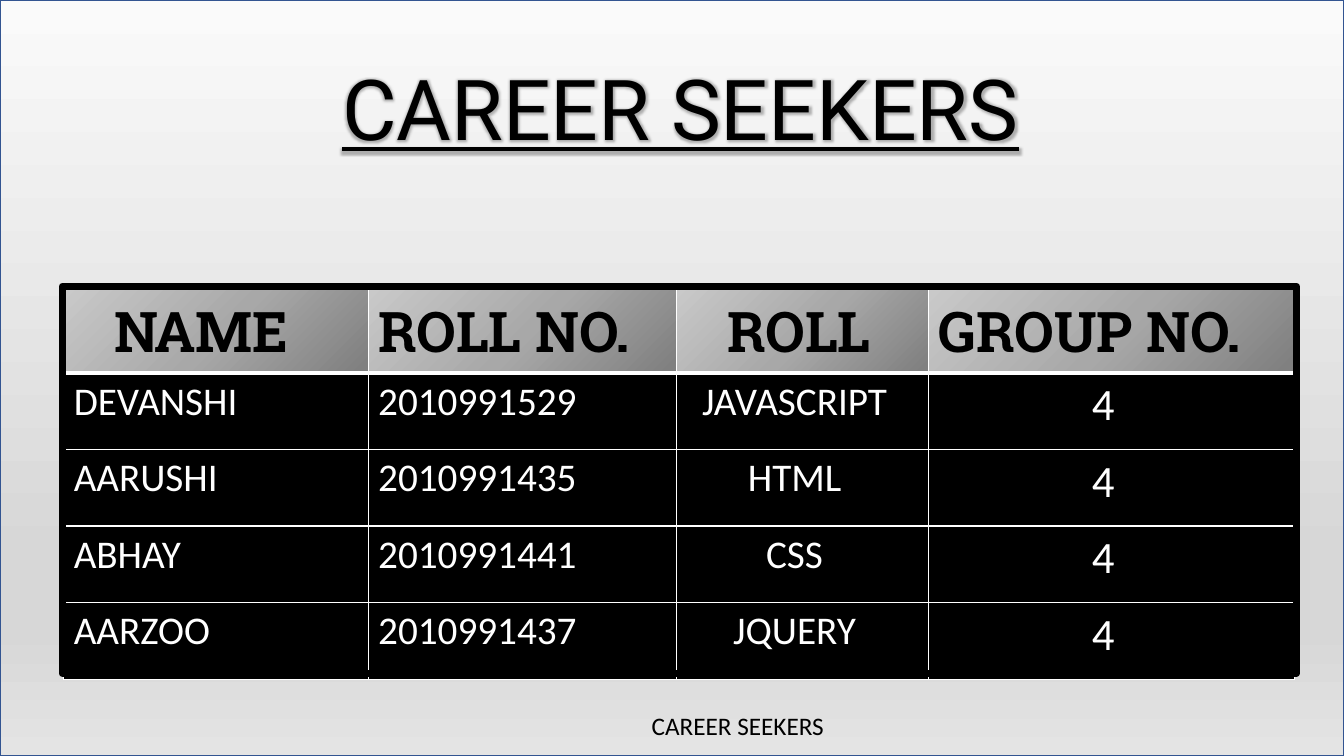
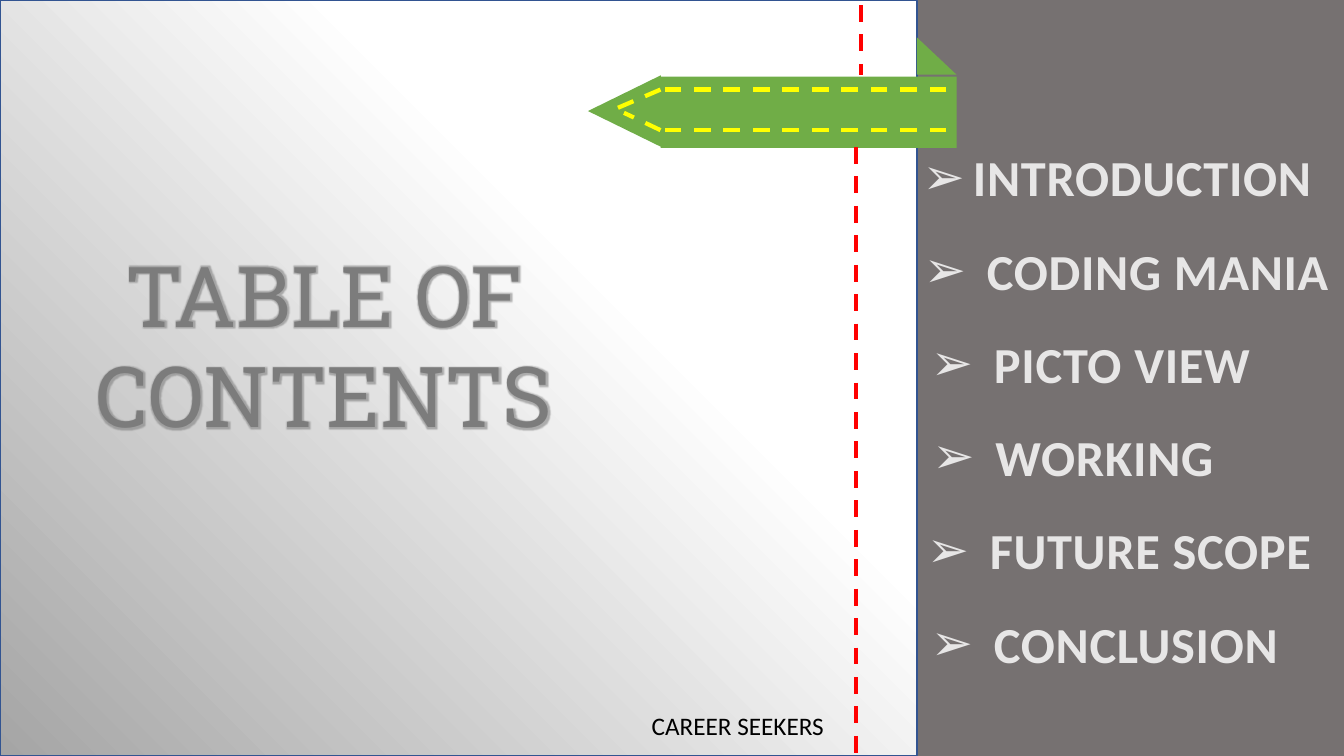
import pptx
import pptx.util
import pptx.dml.color
import pptx.enum.dml
import pptx.enum.shapes
import pptx.enum.text
import pptx.oxml
import pptx.oxml.ns

Pt = pptx.util.Pt
RGB = pptx.dml.color.RGBColor
SHAPE = pptx.enum.shapes.MSO_SHAPE
ALIGN = pptx.enum.text.PP_ALIGN
qn = pptx.oxml.ns.qn
NS = pptx.oxml.ns.nsdecls("a")

BLACK = RGB(0x00, 0x00, 0x00)
WHITE = RGB(0xFF, 0xFF, 0xFF)
NAVY = RGB(0x32, 0x54, 0x91)
SLATE = RGB(0x76, 0x71, 0x71)
TITLE_GREY = RGB(0x7C, 0x7C, 0x7C)
LIGHT = RGB(0xE7, 0xE6, 0xE6)
GREEN = RGB(0x70, 0xAD, 0x47)
YELLOW = RGB(0xFF, 0xFF, 0x00)
RED = RGB(0xFF, 0x00, 0x00)


def fill_gradient(fill, holder, stops, direction):
    """Fill with percent/colour stops; direction is the gradient's lin or path element."""
    fill.solid()
    marks = "".join(f'<a:gs pos="{pos * 1000}"><a:srgbClr val="{colour}"/></a:gs>'
                    for pos, colour in stops)
    gradient = pptx.oxml.parse_xml(
        f'<a:gradFill {NS} rotWithShape="1"><a:gsLst>{marks}</a:gsLst>{direction}</a:gradFill>')
    holder.replace(holder.find(qn("a:solidFill")), gradient)


def add_run(paragraph, text, font, size, colour, bold=False):
    run = paragraph.add_run()
    run.text = text
    run.font.name = font
    run.font.size = Pt(size)
    run.font.bold = bold
    run.font.color.rgb = colour
    return run


deck = pptx.Presentation()
deck.slide_width, deck.slide_height = Pt(960), Pt(540)
team = deck.slides.add_slide(deck.slide_layouts[5])
contents = deck.slides.add_slide(deck.slide_layouts[1])

# Backgrounds
fill_gradient(team.background.fill, team.background._cSld.bg.bgPr,
              [(0, "6F6F6F"), (48, "A8A8A8"), (100, "C9C9C9")], '<a:lin ang="16200000"/>')
contents.background.fill.solid()
contents.background.fill.fore_color.rgb = SLATE

# Gradient panels, behind everything else
for slide, width, stops, direction in (
    (team, 960, [(0, "FAFAFA"), (74, "D7D7D7"), (83, "D7D7D7"), (100, "E4E4E4")],
     '<a:lin ang="5400000"/>'),
    (contents, 655, [(0, "FFFFFF"), (35, "FFFFFF"), (100, "A5A5A5")],
     '<a:path path="circle"><a:fillToRect l="100000" b="100000"/></a:path>'),
):
    panel = slide.shapes.add_shape(SHAPE.RECTANGLE, 0, Pt(0.5), Pt(width), Pt(539))
    panel.shadow.inherit = False
    fill_gradient(panel.fill, panel.element.spPr, stops, direction)
    panel.line.color.rgb = NAVY
    panel.line.width = Pt(1)
    slide.shapes.element.insert(2, panel.element)

# Titles with a soft grey halo
for slide, text, box, font, colour, underlined in (
    (team, "CAREER SEEKERS", (180, 37, 612, 80), "Roboto", BLACK, True),
    (contents, "TABLE OF CONTENTS", (30, 170, 403, 153), "Roboto Slab", TITLE_GREY, False),
):
    title = slide.shapes.title
    title.left, title.top, title.width, title.height = map(Pt, box)
    title.text_frame.auto_size = pptx.enum.text.MSO_AUTO_SIZE.NONE
    title.text_frame.vertical_anchor = pptx.enum.text.MSO_ANCHOR.TOP
    heading = title.text_frame.paragraphs[0]
    heading.alignment = ALIGN.CENTER
    run = add_run(heading, text, font, 60, colour)
    run.font.underline = underlined
    run.font._rPr.find(qn("a:solidFill")).addnext(pptx.oxml.parse_xml(
        f'<a:effectLst {NS}><a:glow rad="{Pt(4)}"><a:srgbClr val="808080">'
        '<a:alpha val="60000"/></a:srgbClr></a:glow></a:effectLst>'))

# Team table
COLUMNS = [("NAME", 217.5, 36), ("ROLL NO.", 220.5, 7.2), ("ROLL", 180, 36), ("GROUP NO.", 261, 7.2)]
MEMBERS = [
    ("DEVANSHI", "2010991529", "JAVASCRIPT", "4"),
    ("AARUSHI", "2010991435", "HTML", "4"),
    ("ABHAY", "2010991441", "CSS", "4"),
    ("AARZOO", "2010991437", "JQUERY", "4"),
]
HEADER_STOPS = [(2, "808080"), (48, "A8A8A8"), (100, "C9C9C9")]
FROM_CORNER = '<a:path path="circle"><a:fillToRect l="100000" t="100000"/></a:path>'
members = team.shapes.add_table(5, 4, Pt(45.5), Pt(206.5), Pt(879), Pt(273.5)).table
members.horz_banding = False
for row in members.rows:
    row.height = Pt(54.7)
for column, (_, width, _) in zip(members.columns, COLUMNS):
    column.width = Pt(width)

for r, texts in enumerate([[name for name, _, _ in COLUMNS], *MEMBERS]):
    for c, text in enumerate(texts):
        cell = members.cell(r, c)
        properties = cell._tc.get_or_add_tcPr()
        paragraph = cell.text_frame.paragraphs[0]
        if r == 0:
            fill_gradient(cell.fill, properties, HEADER_STOPS, FROM_CORNER)
            cell.margin_left = Pt(COLUMNS[c][2])
            add_run(paragraph, text, "Roboto Slab", 40, BLACK, bold=True)
        else:
            cell.fill.solid()
            cell.fill.fore_color.rgb = BLACK
            if c >= 2:
                paragraph.alignment = ALIGN.CENTER
                cell.margin_right = Pt(19)
            add_run(paragraph, text, "Calibri", 32 if c == 3 else 28, WHITE)
        # Thin white grid, thicker around the header's lower edge
        for i, side in enumerate("LRTB"):
            thick = (r, side) in ((0, "B"), (1, "T"))
            properties.insert(i, pptx.oxml.parse_xml(
                f'<a:ln{side} {NS} w="{Pt(3 if thick else 1)}"><a:solidFill>'
                f'<a:srgbClr val="{WHITE}"/></a:solidFill></a:ln{side}>'))

# Black frame around the table
frame = team.shapes.add_shape(SHAPE.RECTANGLE, Pt(44.5), Pt(204.5), Pt(881.5), Pt(276.5))
frame.shadow.inherit = False
frame.fill.background()
frame.line.color.rgb = BLACK
frame.line.width = Pt(5)

# Green pencil ribbon: body, tip, fold
for kind, left, top, width, height, rotation in (
    (SHAPE.RECTANGLE, 471.8, 54.7, 211.5, 51, 0),
    (SHAPE.ISOSCELES_TRIANGLE, 420.5, 53.3, 51, 52, 270),
    (SHAPE.RIGHT_TRIANGLE, 655, 26.8, 28.3, 26.6, 0),
):
    part = contents.shapes.add_shape(kind, Pt(left), Pt(top), Pt(width), Pt(height))
    part.rotation = rotation
    part.shadow.inherit = False
    part.fill.solid()
    part.fill.fore_color.rgb = GREEN
    part.line.fill.background()

# Dashed stitches on the ribbon and the red margin
for colour, *ends in (
    (YELLOW, 676, 64, 471.8, 64),
    (YELLOW, 676, 93, 471.8, 93),
    (YELLOW, 471.8, 64, 436.3, 79.2),
    (YELLOW, 471.8, 93, 445.7, 80.6),
    (RED, 611.5, 105, 611.5, 540),
    (RED, 615, 3.6, 615, 53.3),
):
    stitch = contents.shapes.add_connector(pptx.enum.shapes.MSO_CONNECTOR.STRAIGHT, *map(Pt, ends))
    stitch.line.color.rgb = colour
    stitch.line.width = Pt(3)
    stitch.line.dash_style = pptx.enum.dml.MSO_LINE.DASH
    stitch.element.spPr.append(pptx.oxml.parse_xml(f"<a:effectLst {NS}/>"))

# Contents list: topic, bullet position, hanging indent
TOPICS = [
    ("INTRODUCTION", 4, 36),
    ("CODING MANIA", 5, 45),
    ("PICTO VIEW", 10, 45),
    ("WORKING", 11, 45),
    ("FUTURE SCOPE", 7, 45),
    ("CONCLUSION", 10, 45),
]
topics = contents.placeholders[1]
topics.left, topics.top, topics.width, topics.height = Pt(655), Pt(101), Pt(305), Pt(390)
topic_list = topics.text_frame
topic_list.auto_size = pptx.enum.text.MSO_AUTO_SIZE.NONE
topic_list.margin_left = topic_list.margin_right = 0
for i, (topic, bullet_left, hang) in enumerate(TOPICS):
    entry = topic_list.add_paragraph() if i else topic_list.paragraphs[0]
    entry.space_before = Pt(0)
    entry.space_after = Pt(23.4)
    indents = entry._p.get_or_add_pPr()
    indents.set("marL", str(Pt(bullet_left + hang)))
    indents.set("indent", str(-Pt(hang)))
    indents.append(pptx.oxml.parse_xml(f'<a:buChar {NS} char="➢"/>'))
    run = add_run(entry, topic, "Calibri", 36, LIGHT, bold=True)
    run.font._rPr.set("spc", "50")

# Footer on both slides
for slide in deck.slides:
    footer = slide.shapes.add_textbox(Pt(458), Pt(504), Pt(138), Pt(29)).text_frame
    footer.word_wrap = False
    footer.paragraphs[0].alignment = ALIGN.CENTER
    add_run(footer.paragraphs[0], "CAREER SEEKERS", "Calibri", 18, BLACK)

deck.save("out.pptx")
